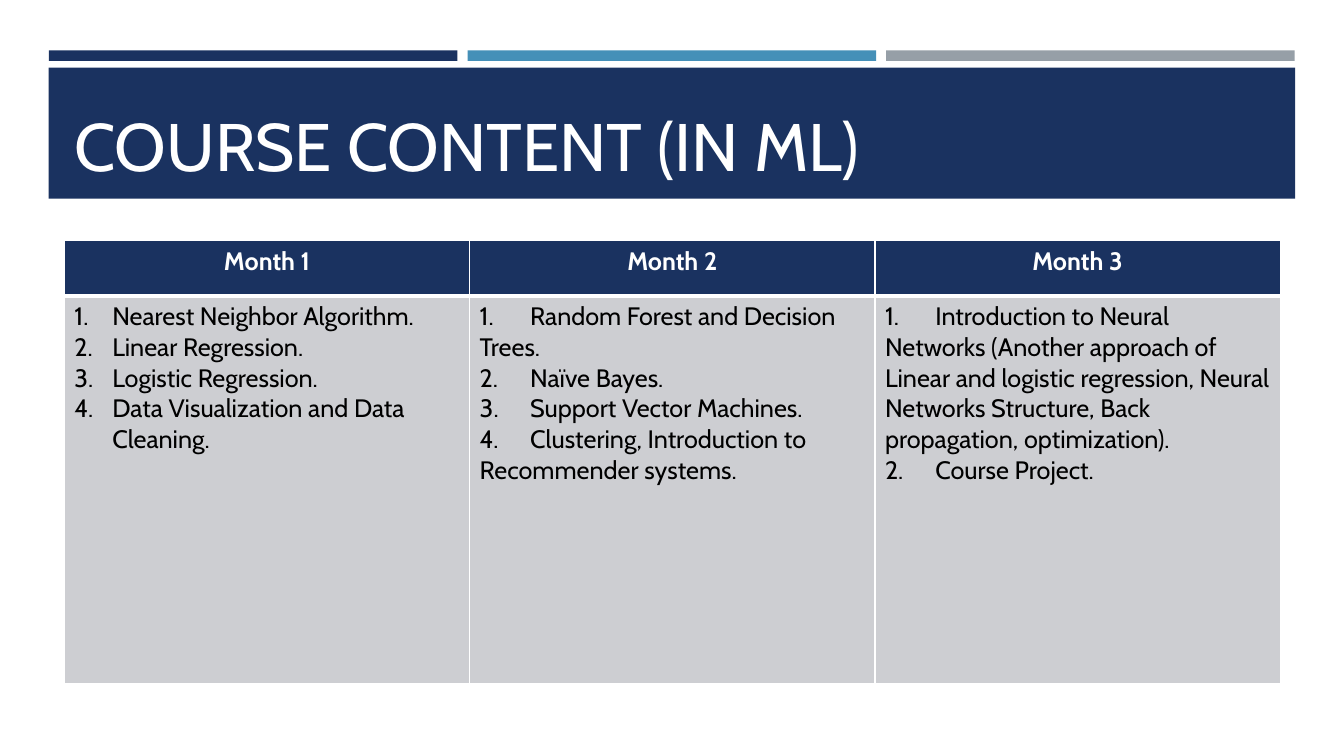
from dataclasses import dataclass

from lxml.etree import SubElement
from pptx import Presentation
from pptx.dml.color import RGBColor
from pptx.enum.shapes import MSO_SHAPE as Shape
from pptx.enum.text import MSO_ANCHOR as Anchor, MSO_AUTO_SIZE as AutoSize, PP_ALIGN as Align
from pptx.oxml import parse_xml
from pptx.oxml.ns import nsdecls, qn
from pptx.util import Pt


@dataclass(frozen=True)
class Theme:
    font: str = "Cabin"
    navy: str = "1A3260"
    blue: str = "4590B8"
    grey: str = "969FA7"
    cell: str = "CDCED2"
    white: str = "FFFFFF"
    black: str = "000000"
    title_size: int = 48
    table_size: int = 18


THEME = Theme()
LEFT, WIDTH = 46, 868.5
LIST_INDENT = Pt(27)
TAB_STOP = Pt(36)

MONTHS = [
    ("Month 1", True, [
        "Nearest Neighbor Algorithm.",
        "Linear Regression.",
        "Logistic Regression.",
        "Data Visualization and Data Cleaning.",
    ]),
    ("Month 2", False, [
        "1.\tRandom Forest and Decision Trees.",
        "2.\tNaïve Bayes.",
        "3.\tSupport Vector Machines.",
        "4.\tClustering, Introduction to Recommender systems.",
    ]),
    ("Month 3", False, [
        "1.\tIntroduction to Neural Networks (Another approach of Linear and "
        "logistic regression, Neural Networks Structure, Back propagation, optimization).",
        "2.\tCourse Project.",
    ]),
]


def style_text(paragraph, size, color, bold=False):
    font = paragraph.font
    font.name, font.size, font.bold = THEME.font, Pt(size), bold
    font.color.rgb = RGBColor.from_string(color)


def add_bar(slide, left, top, width, height, color):
    bar = slide.shapes.add_shape(Shape.RECTANGLE, Pt(left), Pt(top), Pt(width), Pt(height))
    bar.shadow.inherit = False
    bar.fill.solid()
    bar.fill.fore_color.rgb = RGBColor.from_string(color)
    bar.line.fill.background()


def place_title(slide, text):
    """Fill the title placeholder and bring it in front of the band."""
    title = slide.shapes.title
    title.left, title.top, title.width, title.height = Pt(LEFT), Pt(55.5), Pt(WIDTH), Pt(80)
    frame = title.text_frame
    frame.text = text
    frame.vertical_anchor = Anchor.BOTTOM
    frame.auto_size = AutoSize.NONE
    frame.paragraphs[0].alignment = Align.LEFT
    style_text(frame.paragraphs[0], THEME.title_size, THEME.white)
    slide.shapes[-1].element.addnext(title.element)


def paint_cell(cell, color, bottom_width=1):
    cell.fill.solid()
    cell.fill.fore_color.rgb = RGBColor.from_string(color)
    properties = cell._tc.get_or_add_tcPr()
    for index, side in enumerate("LRTB"):
        width = Pt(bottom_width if side == "B" else 1)
        properties.insert(index, parse_xml(
            f'<a:ln{side} {nsdecls("a")} w="{width}"><a:solidFill>'
            f'<a:srgbClr val="{THEME.white}"/></a:solidFill></a:ln{side}>'))


def number_automatically(paragraph):
    properties = paragraph._p.get_or_add_pPr()
    properties.set("marL", str(LIST_INDENT))
    properties.set("indent", str(-LIST_INDENT))
    SubElement(properties, qn("a:buFont"), typeface="+mj-lt")
    SubElement(properties, qn("a:buAutoNum"), type="arabicPeriod")


def set_tab_stop(paragraph):
    stops = SubElement(paragraph._p.get_or_add_pPr(), qn("a:tabLst"))
    SubElement(stops, qn("a:tab"), pos=str(TAB_STOP), algn="l")


def fill_topics(cell, topics, numbered):
    cell.text = "\n".join(topics)
    for paragraph in cell.text_frame.paragraphs:
        (number_automatically if numbered else set_tab_stop)(paragraph)
        style_text(paragraph, THEME.table_size, THEME.black)
    paint_cell(cell, THEME.cell)


def add_month_table(slide):
    heights = (39.5, 276.5)
    table = slide.shapes.add_table(
        2, len(MONTHS), Pt(LEFT), Pt(172), Pt(WIDTH), Pt(sum(heights))).table
    for row, height in zip(table.rows, heights):
        row.height = Pt(height)
    for column, (month, numbered, topics) in enumerate(MONTHS):
        heading = table.cell(0, column)
        heading.text = month
        paragraph = heading.text_frame.paragraphs[0]
        paragraph.alignment = Align.CENTER
        style_text(paragraph, THEME.table_size, THEME.white, bold=True)
        paint_cell(heading, THEME.navy, bottom_width=3)
        fill_topics(table.cell(1, column), topics, numbered)


def main():
    deck = Presentation()
    deck.slide_width, deck.slide_height = Pt(960), Pt(540)
    slide = deck.slides.add_slide(deck.slide_layouts[5])
    for index, color in enumerate((THEME.navy, THEME.blue, THEME.grey)):
        add_bar(slide, 35 + index * 299, 36, 291.8, 7.5, color)
    add_bar(slide, 34.8, 48.4, 890.4, 93.6, THEME.navy)
    place_title(slide, "COURSE CONTENT (IN ML)")
    add_month_table(slide)
    deck.save("out.pptx")


if __name__ == "__main__":
    main()
